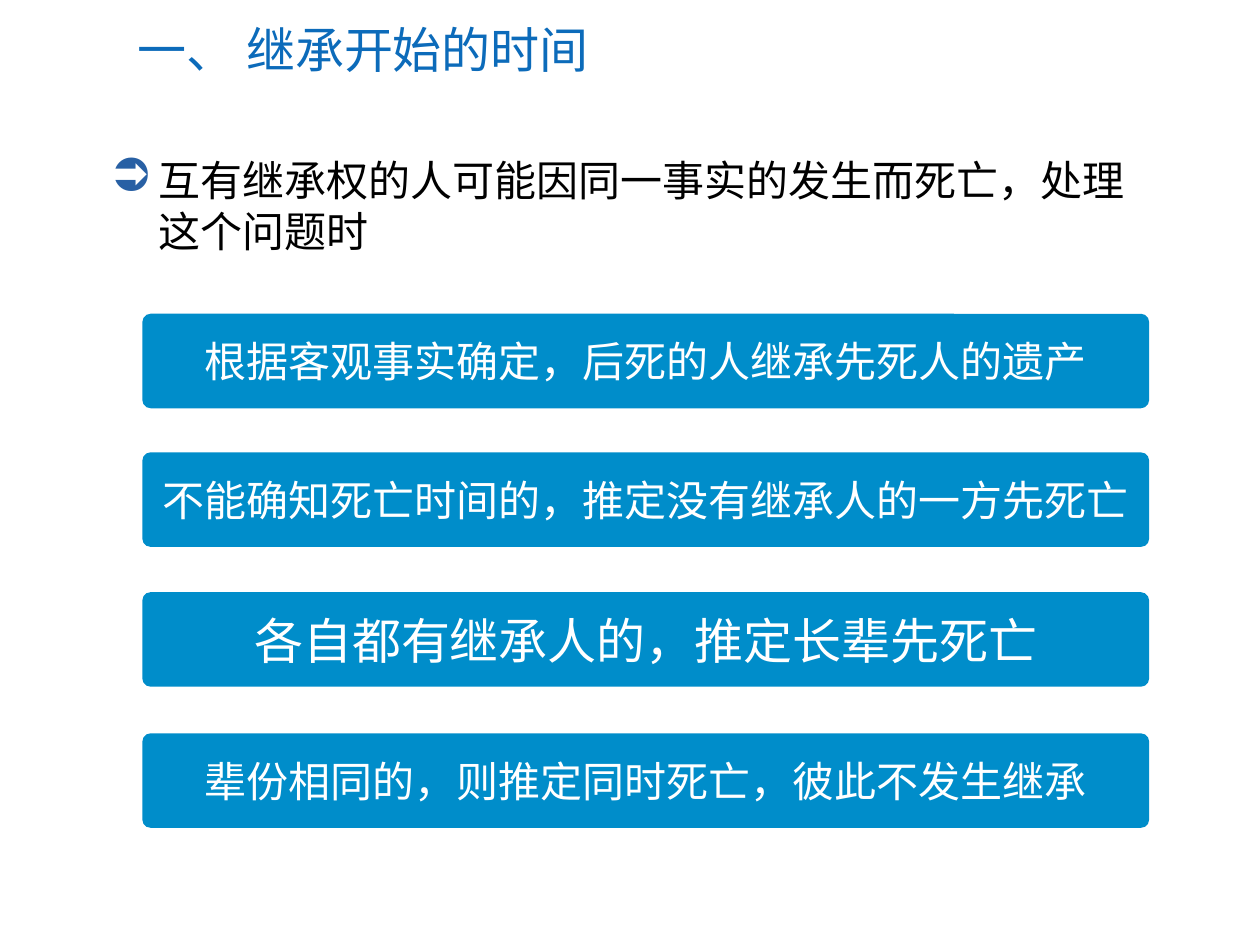
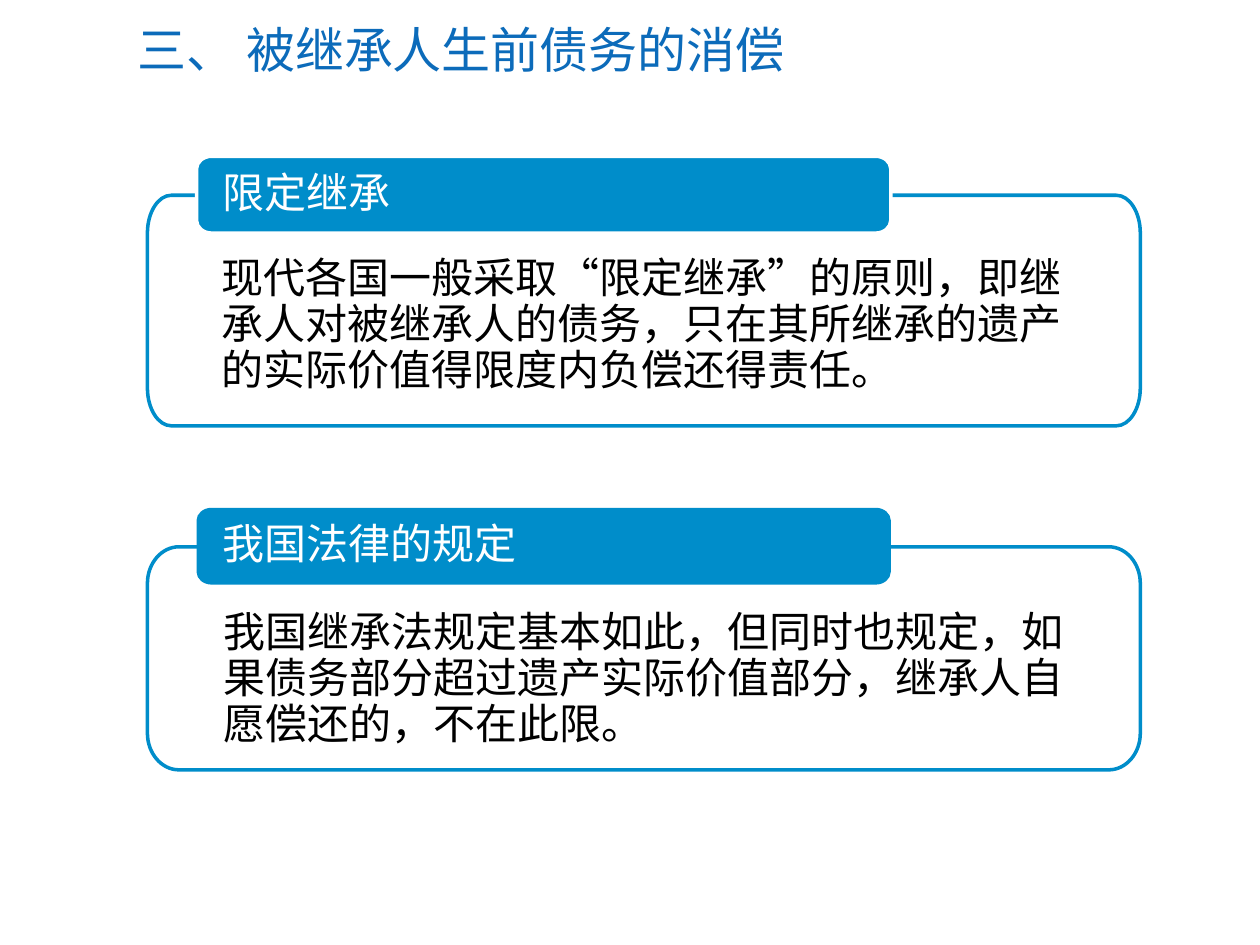
from copy import deepcopy

from lxml.etree import SubElement
from pptx import Presentation
from pptx.dml.color import RGBColor
from pptx.enum.shapes import MSO_SHAPE
from pptx.enum.text import MSO_ANCHOR, MSO_AUTO_SIZE, PP_ALIGN
from pptx.oxml.ns import qn
from pptx.util import Inches, Pt

COLORS = {
    "title": "0C6BBA",
    "accent": "008DCA",
    "bullet": "2860A4",
    "text": "000000",
    "white": "FFFFFF",
}
FONT = "Calibri"
CJK_FONT = "Noto Sans CJK SC"
BULLET_FONT = "OpenSymbol"
QUOTES = "“”"
ARC_PULL = 0.55

RULES = [
    # text, top, size
    ("根据客观事实确定，后死的人继承先死人的遗产", 2.49, 24),
    ("不能确知死亡时间的，推定没有继承人的一方先死亡", 3.59, 24),
    ("各自都有继承人的，推定长辈先死亡", 4.7, 28),
    ("辈份相同的，则推定同时死亡，彼此不发生继承", 5.82, 24),
]
DEBT_SECTIONS = [
    dict(
        heading="限定继承",
        body="现代各国一般采取“限定继承”的原则，即继承人对被继承人的债务，"
             "只在其所继承的遗产的实际价值得限度内负偿还得责任。",
        panel_top=1.55, panel_height=1.83, corner=(0.19, 0.3),
        insets=(0.59, 0.48, 0.59, 0.2), heading_line="white",
    ),
    dict(
        heading="我国法律的规定",
        body="我国继承法规定基本如此，但同时也规定，如果债务部分超过遗产实际价值部分，"
             "继承人自愿偿还的，不在此限。",
        panel_top=4.34, panel_height=1.77, corner=(0.25, 0.29),
        insets=(0.6, 0.5, 0.6, 0.21), heading_line=None,
    ),
]


def rgb(name):
    return RGBColor.from_string(COLORS[name])


def split_quotes(text):
    """Cut text so that every curly quote is a piece of its own."""
    for quote in QUOTES:
        text = text.replace(quote, f"\n{quote}\n")
    return [piece for piece in text.split("\n") if piece]


def write(shape, text, color, size=24, font=FONT, insets=(0.1, 0.05, 0.1, 0.05),
          anchor=MSO_ANCHOR.MIDDLE, **paragraph_format):
    frame = shape.text_frame
    left, top, right, bottom = map(Inches, insets)
    frame_format = dict(
        word_wrap=True, auto_size=MSO_AUTO_SIZE.NONE, vertical_anchor=anchor,
        margin_left=left, margin_top=top, margin_right=right, margin_bottom=bottom,
    )
    for name, value in frame_format.items():
        setattr(frame, name, value)
    paragraph = frame.paragraphs[0]
    for name, value in {"alignment": PP_ALIGN.LEFT, **paragraph_format}.items():
        setattr(paragraph, name, value)
    for piece in split_quotes(text):
        run = paragraph.add_run()
        run.text = piece
        full_width = piece in QUOTES
        run.font.size = Pt(size)
        run.font.name = CJK_FONT if full_width else font
        run.font.color.rgb = rgb(color)
        SubElement(run.font._element, qn("a:ea"),
                   typeface=CJK_FONT if full_width else FONT)
    return paragraph


def paint(shape, fill, line=None):
    shape.shadow.inherit = False
    shape.fill.solid()
    shape.fill.fore_color.rgb = rgb(fill)
    if line:
        shape.line.color.rgb = rgb(line)
        shape.line.width = Pt(2)
    else:
        shape.line.fill.background()


def add_titled_slide(deck, text):
    slide = deck.slides.add_slide(deck.slide_layouts[5])
    title = slide.shapes.title
    place = dict(left=0.99, top=0.1, width=8.72, height=0.58)
    for name, value in place.items():
        setattr(title, name, Inches(value))
    write(title, text, "title", size=28)
    return slide


def add_lead(slide, text):
    """Add the opening statement with its arrow bullet."""
    lead = slide.shapes.add_textbox(*map(Inches, (0.78, 1.18, 8.34, 0.9)))
    paragraph = write(lead, text, "text", font=CJK_FONT, anchor=MSO_ANCHOR.TOP,
                      space_before=Pt(6))
    properties = paragraph._p.get_or_add_pPr()
    properties.set("marL", str(Inches(0.38)))
    properties.set("indent", str(-Inches(0.38)))
    bullet_color = SubElement(properties, qn("a:buClr"))
    SubElement(bullet_color, qn("a:srgbClr"), val=COLORS["bullet"])
    SubElement(properties, qn("a:buSzPct"), val="110000")
    SubElement(properties, qn("a:buFont"), typeface=BULLET_FONT)
    SubElement(properties, qn("a:buChar"), char="➲")


def add_rule_bar(slide, text, top, size):
    bar = slide.shapes.add_shape(MSO_SHAPE.ROUNDED_RECTANGLE,
                                 *map(Inches, (1.13, top, 7.99, 0.75)))
    bar.adjustments[0] = 0.087
    paint(bar, "accent")
    write(bar, text, "white", size=size, alignment=PP_ALIGN.CENTER,
          space_before=Pt(size // 4))


def bend(segment, start, vertex, end):
    """Turn a straight corner segment into a quarter ellipse below vertex."""
    end_point = deepcopy(segment[0])
    segment.remove(segment[0])
    segment.tag = qn("a:cubicBezTo")
    for anchor in (start, end):
        x, y = (round(a + (v - a) * ARC_PULL) for a, v in zip(anchor, vertex))
        SubElement(segment, qn("a:pt"), x=str(x), y=str(y))
    segment.append(end_point)


def add_oval_cornered_box(slide, left, top, width, height, corner):
    """Draw a box whose corners are quarter ellipses with the radii in corner."""
    x, y, w, h, rx, ry = map(Inches, (left, top, width, height, *corner))
    anchors = [
        (0, ry), (rx, 0), (w - rx, 0), (w, ry),
        (w, h - ry), (w - rx, h), (rx, h), (0, h - ry),
    ]
    vertices = [(0, 0), (w, 0), (w, h), (0, h)]
    builder = slide.shapes.build_freeform(*anchors[0])
    builder.add_line_segments(anchors[1:] + anchors[:1], close=True)
    box = builder.convert_to_shape(x, y)
    corner_segments = list(box._element.iter(qn("a:lnTo")))[::2]
    for segment, start, vertex, end in zip(corner_segments, anchors[::2],
                                           vertices, anchors[1::2]):
        bend(segment, start, vertex, end)
    return box


def add_debt_section(slide, heading, body, panel_top, panel_height, corner,
                     insets, heading_line):
    panel = add_oval_cornered_box(slide, 1.17, panel_top, 7.88, panel_height, corner)
    paint(panel, "white", "accent")
    panel_color = panel._element.spPr.find(qn("a:solidFill"))[0]
    SubElement(panel_color, qn("a:alpha"), val="90000")
    write(panel, body, "text", insets=insets, anchor=MSO_ANCHOR.TOP,
          line_spacing=Pt(26.4), space_after=Pt(4.5))

    tab = add_oval_cornered_box(slide, 1.56, panel_top - 0.31, 5.51, 0.61, (0.12, 0.1))
    paint(tab, "accent", heading_line)
    write(tab, heading, "white", insets=(0.21, 0.03, 0.21, 0.03),
          line_spacing=0.9, space_after=Pt(10.5))


def main():
    deck = Presentation()
    deck.slide_width, deck.slide_height = Inches(10), Inches(7.5)

    opening = add_titled_slide(deck, "一、 继承开始的时间")
    add_lead(opening, "互有继承权的人可能因同一事实的发生而死亡，处理这个问题时")
    for text, top, size in RULES:
        add_rule_bar(opening, text, top, size)

    debts = add_titled_slide(deck, "三、 被继承人生前债务的消偿")
    for section in DEBT_SECTIONS:
        add_debt_section(debts, **section)

    deck.save("out.pptx")


if __name__ == "__main__":
    main()
